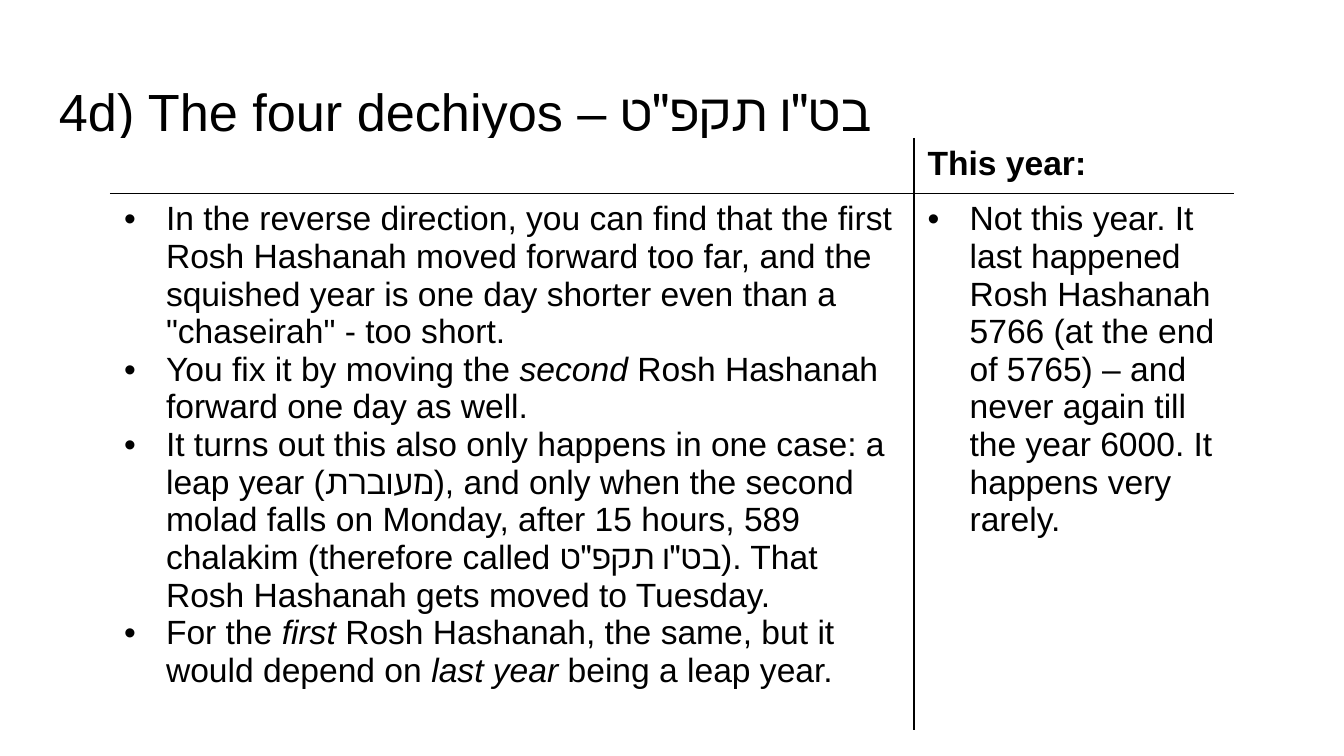
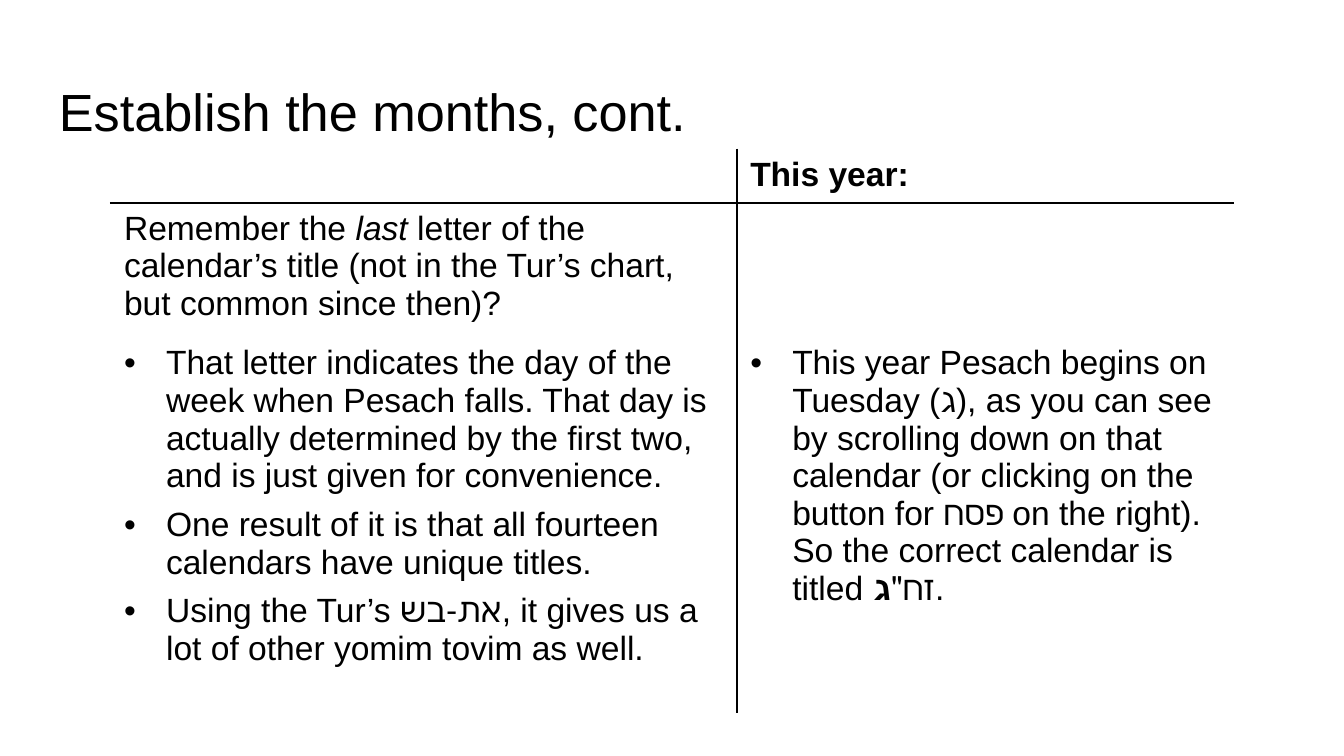
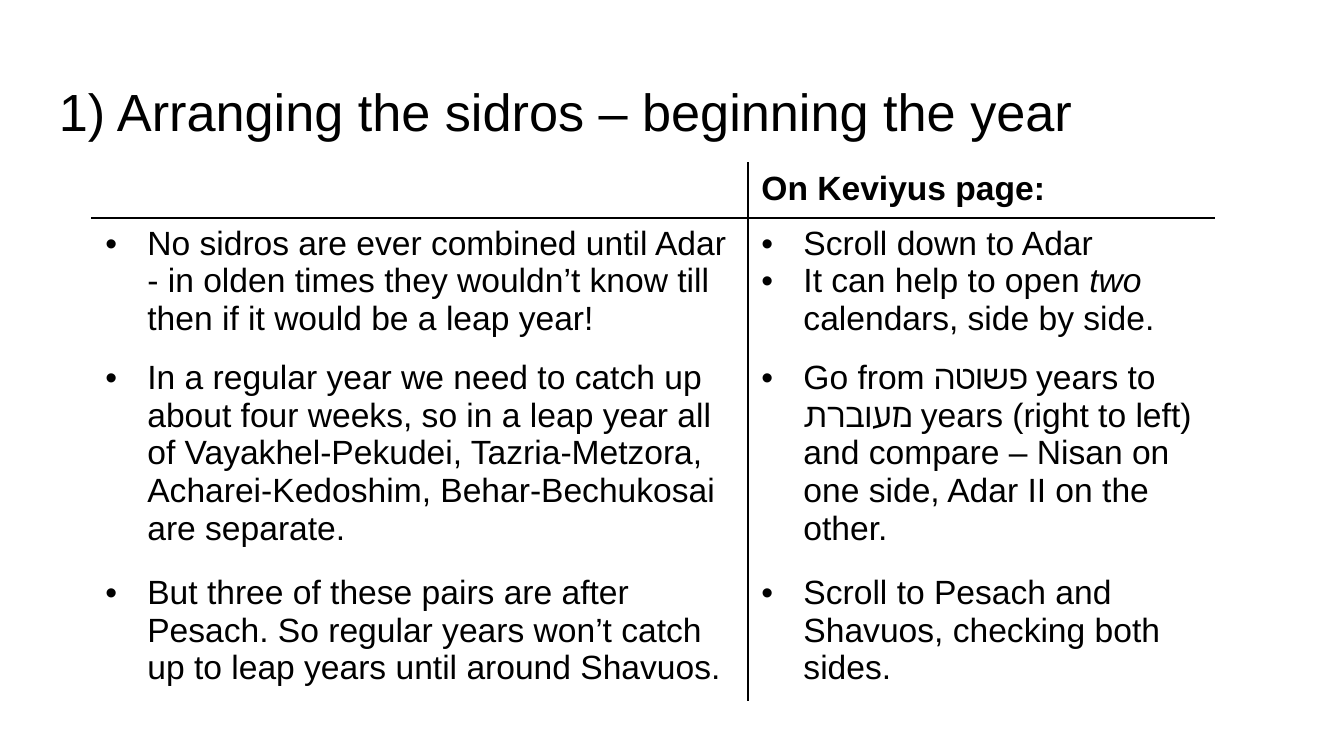
import dataclasses
import typing

import lxml.etree
import pptx
import pptx.dml.color
import pptx.enum.text
import pptx.oxml.ns
import pptx.util

Pt = pptx.util.Pt
qn = pptx.oxml.ns.qn


@dataclasses.dataclass(frozen=True)
class Theme:
    font: str = "Arial"
    ink: str = "000000"
    paper: str = "FFFFFF"
    title_size: float = 28
    body_size: float = 18
    border: float = 1
    indent: float = 22.5


THEME = Theme()


class Run(typing.NamedTuple):
    text: str
    italic: bool = False
    bold: bool = False


class Paragraph(typing.NamedTuple):
    runs: tuple[Run, ...]
    bullet: bool = True
    space_before: float = 0


Cell = list[Paragraph]


@dataclasses.dataclass(frozen=True)
class TableSlide:
    title: str
    heading: str
    left: float
    top: float
    height: float
    columns: tuple[float, ...]
    rows: tuple[float, ...]
    body: list[tuple[Cell, Cell]]


def italic(text: str) -> Run:
    return Run(text, italic=True)


def bold(text: str) -> Run:
    return Run(text, bold=True)


def point(*parts: str | Run, bullet: bool = True, space_before: float = 0) -> Paragraph:
    runs = tuple(part if isinstance(part, Run) else Run(part) for part in parts)
    return Paragraph(runs, bullet, space_before)


SLIDES = [
    TableSlide(
        title='4d) The four dechiyos – בט"ו תקפ"ט',
        heading="This year:",
        left=59.25, top=74.25, height=298.5,
        columns=(430.5, 171),
        rows=(29.5, 29.5),
        body=[(
            [
                point("In the reverse direction, you can find that the first Rosh Hashanah moved forward "
                      "too far, and the squished year is one day shorter even than a "
                      '"chaseirah" - too short.'),
                point("You fix it by moving the ", italic("second"),
                      " Rosh Hashanah forward one day as well."),
                point("It turns out this also only happens in one case: a leap year (מעוברת), and only "
                      "when the second molad falls on Monday, after 15 hours, 589 chalakim (therefore "
                      'called בט"ו תקפ"ט). That Rosh Hashanah gets moved to Tuesday.'),
                point("For the ", italic("first"),
                      " Rosh Hashanah, the same, but it would depend on ",
                      italic("last year "), "being a leap year."),
            ],
            [
                point("Not this year. It last happened Rosh Hashanah 5766 (at the end of 5765) – and "
                      "never again till the year 6000. It happens very rarely."),
            ],
        )],
    ),
    TableSlide(
        title="Establish the months, cont.",
        heading="This year:",
        left=59.25, top=80, height=299.5,
        columns=(335.5, 266),
        rows=(28, 70, 201.5),
        body=[
            (
                [
                    point("Remember the ", italic("last"),
                          " letter of the calendar’s title (not in the Tur’s chart, but common since "
                          "then)?", bullet=False),
                ],
                [],
            ),
            (
                [
                    point("That letter indicates the day of the week when Pesach falls. That day is "
                          "actually determined by the first two, and is just given for convenience."),
                    point("One result of it is that all fourteen calendars have unique titles.",
                          space_before=6),
                    point("Using the Tur’s את-בש, it gives us a lot of other yomim tovim as well.",
                          space_before=6),
                ],
                [
                    point("This year Pesach begins on Tuesday (ג), as you can see by scrolling down on "
                          "that calendar (or clicking on the button for פסח on the right). So the "
                          'correct calendar is titled זח"', bold("ג"), "."),
                ],
            ),
        ],
    ),
    TableSlide(
        title="1) Arranging the sidros – beginning the year",
        heading="On Keviyus page:",
        left=49.25, top=87.25, height=272.5,
        columns=(351.5, 250),
        rows=(29.5,) * 4,
        body=[
            (
                [
                    point("No sidros are ever combined until Adar\n- in olden times they wouldn’t know "
                          "till then if it would be a leap year!"),
                ],
                [
                    point("Scroll down to Adar"),
                    point("It can help to open ", italic("two"), " calendars, side by side."),
                ],
            ),
            (
                [
                    point("In a regular year we need to catch up about four weeks, so in a leap year all "
                          "of Vayakhel-Pekudei, Tazria-Metzora, Acharei-Kedoshim, Behar-Bechukosai are "
                          "separate."),
                ],
                [
                    point("Go from פשוטה years to מעוברת years (right to left) and compare – Nisan on "
                          "one side, Adar II on the other."),
                ],
            ),
            (
                [
                    point("But three of these pairs are after Pesach. So regular years won’t catch up to "
                          "leap years until around Shavuos."),
                ],
                [point("Scroll to Pesach and Shavuos, checking both sides.")],
            ),
        ],
    ),
]


def set_attributes(target: typing.Any, values: dict[str, typing.Any]) -> None:
    for name, value in values.items():
        setattr(target, name, value)


def add_element(parent: typing.Any, tag: str, **attributes: str) -> typing.Any:
    return lxml.etree.SubElement(parent, qn(tag), attributes)


def add_color(parent: typing.Any, color: str) -> None:
    add_element(parent, "a:srgbClr", val=color)


def add_run(paragraph: typing.Any, run: Run, size: float) -> None:
    for index, line in enumerate(run.text.split("\n")):
        if index:
            paragraph.add_line_break()
        text_run = paragraph.add_run()
        text_run.text = line
        set_attributes(text_run.font, {
            "name": THEME.font, "size": Pt(size), "bold": run.bold, "italic": run.italic,
        })
        text_run.font.color.rgb = pptx.dml.color.RGBColor.from_string(THEME.ink)


def add_bullet(paragraph: typing.Any) -> None:
    properties = paragraph._p.get_or_add_pPr()
    properties.set("marL", str(Pt(THEME.indent)))
    properties.set("indent", str(-Pt(THEME.indent)))
    add_color(add_element(properties, "a:buClr"), THEME.ink)
    add_element(properties, "a:buFont", typeface=THEME.font)
    add_element(properties, "a:buChar", char="•")


def write_paragraphs(text_frame: typing.Any, paragraphs: Cell, size: float) -> None:
    for index, content in enumerate(paragraphs):
        paragraph = text_frame.add_paragraph() if index else text_frame.paragraphs[0]
        if content.space_before:
            paragraph.space_before = Pt(content.space_before)
        if content.bullet:
            add_bullet(paragraph)
        for run in content.runs:
            add_run(paragraph, run, size)


def add_title(slide: typing.Any, title: str) -> None:
    shape = slide.shapes.add_textbox(Pt(24.5), Pt(35.25), Pt(671), Pt(45.5))
    set_attributes(shape.text_frame, {
        "word_wrap": True,
        "vertical_anchor": pptx.enum.text.MSO_ANCHOR.TOP,
        "margin_left": Pt(7.2), "margin_right": Pt(7.2),
        "margin_top": Pt(7.2), "margin_bottom": Pt(7.2),
    })
    write_paragraphs(shape.text_frame, [point(title, bullet=False)], THEME.title_size)


def format_cell(cell: typing.Any, row: int, column: int, last_row: int) -> None:
    properties = cell._tc.get_or_add_tcPr()
    borders = {
        "a:lnL": THEME.ink if column else THEME.paper,
        "a:lnR": THEME.paper if column else THEME.ink,
        "a:lnT": {0: THEME.paper, 1: THEME.ink}.get(row),
        "a:lnB": THEME.ink if row == 0 else THEME.paper if row == last_row else None,
    }
    for tag, color in borders.items():
        line = add_element(properties, tag, w=str(Pt(THEME.border)))
        if color:
            add_color(add_element(line, "a:solidFill"), color)
        else:
            add_element(line, "a:noFill")
    cell.fill.solid()
    cell.fill.fore_color.rgb = pptx.dml.color.RGBColor.from_string(THEME.paper)


def add_comparison(slide: typing.Any, content: TableSlide) -> None:
    frame = slide.shapes.add_table(
        len(content.rows), len(content.columns), Pt(content.left), Pt(content.top),
        Pt(sum(content.columns)), Pt(content.height),
    )
    table = frame.table
    set_attributes(table, {"first_row": False, "horz_banding": False})
    for column, width in zip(table.columns, content.columns):
        column.width = Pt(width)
    for row, height in zip(table.rows, content.rows):
        row.height = Pt(height)
    frame.height = Pt(content.height)
    header: tuple[Cell, Cell] = ([], [point(bold(content.heading), bullet=False)])
    for row_index, cells in enumerate([header, *content.body]):
        for column_index, paragraphs in enumerate(cells):
            cell = table.cell(row_index, column_index)
            format_cell(cell, row_index, column_index, len(content.body))
            write_paragraphs(cell.text_frame, paragraphs, THEME.body_size)


def main() -> None:
    presentation = pptx.Presentation()
    set_attributes(presentation, {"slide_width": Pt(720), "slide_height": Pt(405)})
    for content in SLIDES:
        slide = presentation.slides.add_slide(presentation.slide_layouts[6])
        add_title(slide, content.title)
        add_comparison(slide, content)
    presentation.save("out.pptx")


if __name__ == "__main__":
    main()
